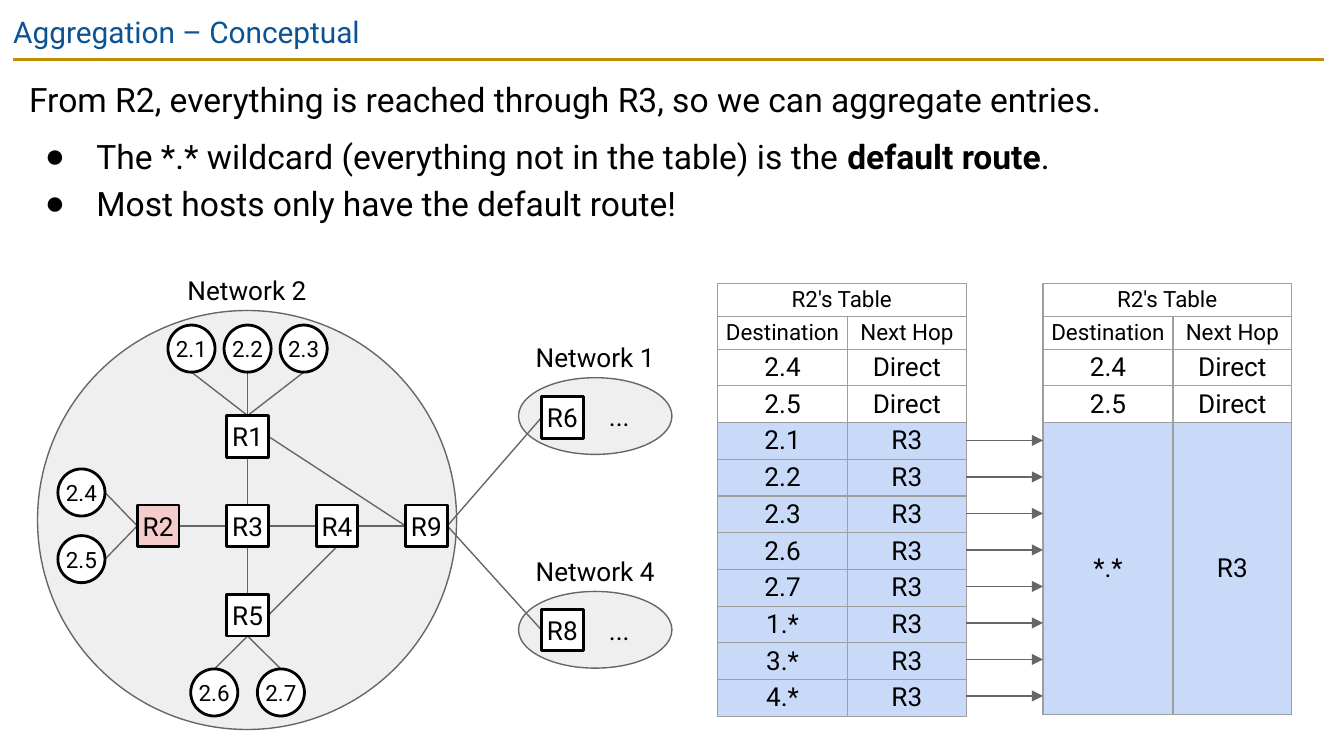
"""Builds the slide on route aggregation: a network map and two routing tables."""
from dataclasses import dataclass
from lxml import etree
from pptx import Presentation
from pptx import util as u
from pptx.dml.color import RGBColor
from pptx.enum import shapes, text
from pptx.oxml.ns import qn


@dataclass(frozen=True)
class Theme:
    font: str = "Roboto"
    ink: str = "000000"
    title: str = "0B5394"
    rule: str = "BF9000"
    wire: str = "666666"
    grid: str = "9E9E9E"
    cloud: str = "EFEFEF"
    paper: str = "FFFFFF"
    focus: str = "F4CCCC"
    merged: str = "C9DAF8"
    head: int = 16
    body: int = 18
    label: int = 14
    small: int = 12
    thin: float = 0.75
    bold: float = 1.5


T = Theme()
TITLE = "Aggregation – Conceptual"
BODY = [
    (False, 0, [("From R2, everything is reached through R3, so we can aggregate entries.", False)]),
    (True, 6, [("The *.* wildcard (everything not in the table) is the ", False),
               ("default route", True), (".", False)]),
    (True, 0, [("Most hosts only have the default route!", False)]),
]
CLOUDS = [("Network 2", 0.71, 5.87, 7.92, 7.92), ("Network 1", 9.8, 7.14, 2.9, 1.45),
          ("Network 4", 9.8, 11.18, 2.9, 1.45)]
MID, ROW, STEP = 4.68, 9.94, 1.69
ROUTERS = {
    "R1": (MID, ROW - STEP), "R2": (MID - STEP, ROW), "R3": (MID, ROW),
    "R4": (MID + STEP, ROW), "R5": (MID, ROW + STEP), "R9": (MID + 2 * STEP, ROW),
    "R6": (10.63, 7.89), "R8": (10.63, 11.91),
}
HOSTS = {
    "2.1": (MID - 1.06, 6.59), "2.2": (MID, 6.59), "2.3": (MID + 1.06, 6.59),
    "2.4": (1.54, ROW - 0.63), "2.5": (1.54, ROW + 0.63),
    "2.6": (MID - 0.63, 13.09), "2.7": (MID + 0.63, 13.09),
}
LINKS = [
    ("2.1", "down", "R1", "up"), ("2.2", "down", "R1", "up"), ("2.3", "down", "R1", "up"),
    ("2.4", "right", "R2", "left"), ("2.5", "right", "R2", "left"),
    ("2.6", "up", "R5", "down"), ("2.7", "up", "R5", "down"),
    ("R2", "right", "R3", "left"), ("R3", "right", "R4", "left"), ("R4", "right", "R9", "left"),
    ("R1", "down", "R3", "up"), ("R3", "down", "R5", "up"),
    ("R1", "right", "R9", "left"), ("R4", "down", "R5", "right"),
    ("R9", "right", "R6", "left"), ("R9", "right", "R8", "left"),
]
SIDES = {"up": (0, -1), "down": (0, 1), "left": (-1, 0), "right": (1, 0)}
BOX, DISC = 0.79, 0.89

HEAD = [("R2's Table", ""), ("Destination", "Next Hop")]
DIRECT = [("2.4", "Direct"), ("2.5", "Direct")]
FAR = ["2.1", "2.2", "2.3", "2.6", "2.7", "1.*", "3.*", "4.*"]
COLS = (2.46, 2.24)
LEFT, RIGHT, TOP = 13.56, 19.71, 5.36
HEADH, ROWH = 0.62, 0.69


def color(code):
    return RGBColor.from_string(code)


def write(para, words, size, tint=T.ink, bold=False):
    run = para.add_run()
    run.text = words
    font = run.font
    font.name, font.size, font.bold = T.font, u.Pt(size), bold
    font.color.rgb = color(tint)


def place(item, *spot):
    item.left, item.top, item.width, item.height = map(u.Cm, spot)


def center(frame, words, size):
    frame.margin_left = frame.margin_right = frame.margin_top = frame.margin_bottom = 0
    frame.word_wrap = True
    para = frame.paragraphs[0]
    para.alignment = text.PP_ALIGN.CENTER
    write(para, words, size)


def label(slide, words, *spot):
    box = slide.shapes.add_textbox(*map(u.Cm, spot))
    center(box.text_frame, words, T.label)


def draw(slide, kind, spot, fill, line, width):
    shape = slide.shapes.add_shape(kind, *map(u.Cm, spot))
    shape.shadow.inherit = False
    shape.fill.solid()
    shape.fill.fore_color.rgb = color(fill)
    shape.line.color.rgb = color(line)
    shape.line.width = u.Pt(width)
    return shape


def wire(slide, start, end, tint=T.wire, width=T.thin, arrow=False):
    line = slide.shapes.add_connector(shapes.MSO_CONNECTOR.STRAIGHT, *map(u.Cm, (*start, *end)))
    line.line.color.rgb = color(tint)
    line.line.width = u.Pt(width)
    if arrow:
        etree.SubElement(line.line._get_or_add_ln(), qn("a:tailEnd"), type="triangle")
    etree.SubElement(line._element.spPr, qn("a:effectLst"))


def node(slide, kind, name, spot, size, points, fill=T.paper):
    x, y = spot
    shape = draw(slide, kind, (x - size / 2, y - size / 2, size, size), fill, T.ink, T.bold)
    shape.text_frame.vertical_anchor = text.MSO_ANCHOR.MIDDLE
    center(shape.text_frame, name, points)


def port(name, side):
    x, y = ROUTERS.get(name) or HOSTS[name]
    half = (BOX if name in ROUTERS else DISC) / 2
    dx, dy = SIDES[side]
    return x + dx * half, y + dy * half


def prose(slide):
    title, body = slide.placeholders
    place(title, 0, 0, 25.4, 1.09)
    place(body, 0.3, 1.12, 24.74, 3.76)
    for item in (title, body):
        frame = item.text_frame
        frame.auto_size = text.MSO_AUTO_SIZE.NONE
        frame.vertical_anchor = text.MSO_ANCHOR.TOP
        frame.margin_left = frame.margin_right = u.Cm(0.25)
        frame.margin_top = frame.margin_bottom = u.Cm(0.25)
    para = title.text_frame.paragraphs[0]
    para.alignment = text.PP_ALIGN.LEFT
    write(para, TITLE, T.head, T.title)
    for i, (dot, gap, runs) in enumerate(BODY):
        para = body.text_frame.add_paragraph() if i else body.text_frame.paragraphs[0]
        props = para._p.get_or_add_pPr()
        props.set("marL", str(u.Cm(1.27 if dot else 0)))
        props.set("indent", str(u.Cm(-0.97 if dot else 0)))
        if dot:
            tint = etree.SubElement(props, qn("a:buClr"))
            etree.SubElement(tint, qn("a:srgbClr"), val=T.ink)
            etree.SubElement(props, qn("a:buChar"), char="●")
        else:
            etree.SubElement(props, qn("a:buNone"))
        para.line_spacing = 1.15
        para.space_before = u.Pt(gap)
        for words, bold in runs:
            write(para, words, T.body, bold=bold)


def network(slide):
    oval = shapes.MSO_SHAPE.OVAL
    for name, x, y, w, h in CLOUDS:
        draw(slide, oval, (x, y, w, h), T.cloud, T.wire, T.thin)
        label(slide, name, x + w / 2 - 1.2, y - 0.68, 2.4, 0.6)
        if name != "Network 2":
            label(slide, "...", x + 1.56, y + 0.43, 0.69, 0.6)
    for a, out, b, into in LINKS:
        wire(slide, port(a, out), port(b, into))
    for name, spot in HOSTS.items():
        node(slide, oval, name, spot, DISC, T.small)
    for name, spot in ROUTERS.items():
        fill = T.focus if name == "R2" else T.paper
        node(slide, shapes.MSO_SHAPE.RECTANGLE, name, spot, BOX, T.label, fill)


def table(slide, x, far, tall):
    rows = HEAD + DIRECT + [(dest, "R3") for dest in far]
    sizes = [HEADH] * len(HEAD) + [ROWH] * len(DIRECT) + [tall] * len(far)
    spot = map(u.Cm, (x, TOP, sum(COLS), sum(sizes)))
    grid = slide.shapes.add_table(len(rows), len(COLS), *spot).table
    grid.first_row = grid.horz_banding = False
    for col, wide in zip(grid.columns, COLS):
        col.width = u.Cm(wide)
    grid.cell(0, 0).merge(grid.cell(0, 1))
    for r, (row, high) in enumerate(zip(rows, sizes)):
        grid.rows[r].height = u.Cm(high)
        for c, words in enumerate(row):
            cell = grid.cell(r, c)
            cell.vertical_anchor = text.MSO_ANCHOR.MIDDLE
            cell.margin_left = cell.margin_right = 0
            cell.margin_top = cell.margin_bottom = u.Cm(0.05)
            for edge in ("lnL", "lnR", "lnT", "lnB"):
                line = etree.SubElement(cell._tc.get_or_add_tcPr(), qn("a:" + edge), w=str(u.Pt(T.thin)))
                paint = etree.SubElement(line, qn("a:solidFill"))
                etree.SubElement(paint, qn("a:srgbClr"), val=T.grid)
            cell.fill.solid()
            cell.fill.fore_color.rgb = color(T.merged if row[1] == "R3" else T.paper)
            if words:
                para = cell.text_frame.paragraphs[0]
                para.alignment = text.PP_ALIGN.CENTER
                write(para, words, T.small if r < len(HEAD) else T.label)


def main():
    deck = Presentation()
    deck.slide_width, deck.slide_height = u.Cm(25.4), u.Cm(14.29)
    slide = deck.slides.add_slide(deck.slide_layouts[1])
    wire(slide, (0.25, 1.12), (25.02, 1.12), T.rule, T.bold)
    prose(slide)
    network(slide)
    table(slide, LEFT, FAR, ROWH)
    table(slide, RIGHT, ["*.*"], ROWH * len(FAR))
    first = TOP + HEADH * len(HEAD) + ROWH * (len(DIRECT) + 0.5)
    for i in range(len(FAR)):
        y = first + i * ROWH
        wire(slide, (LEFT + sum(COLS), y), (RIGHT, y), arrow=True)
    deck.save("out.pptx")


if __name__ == "__main__":
    main()
